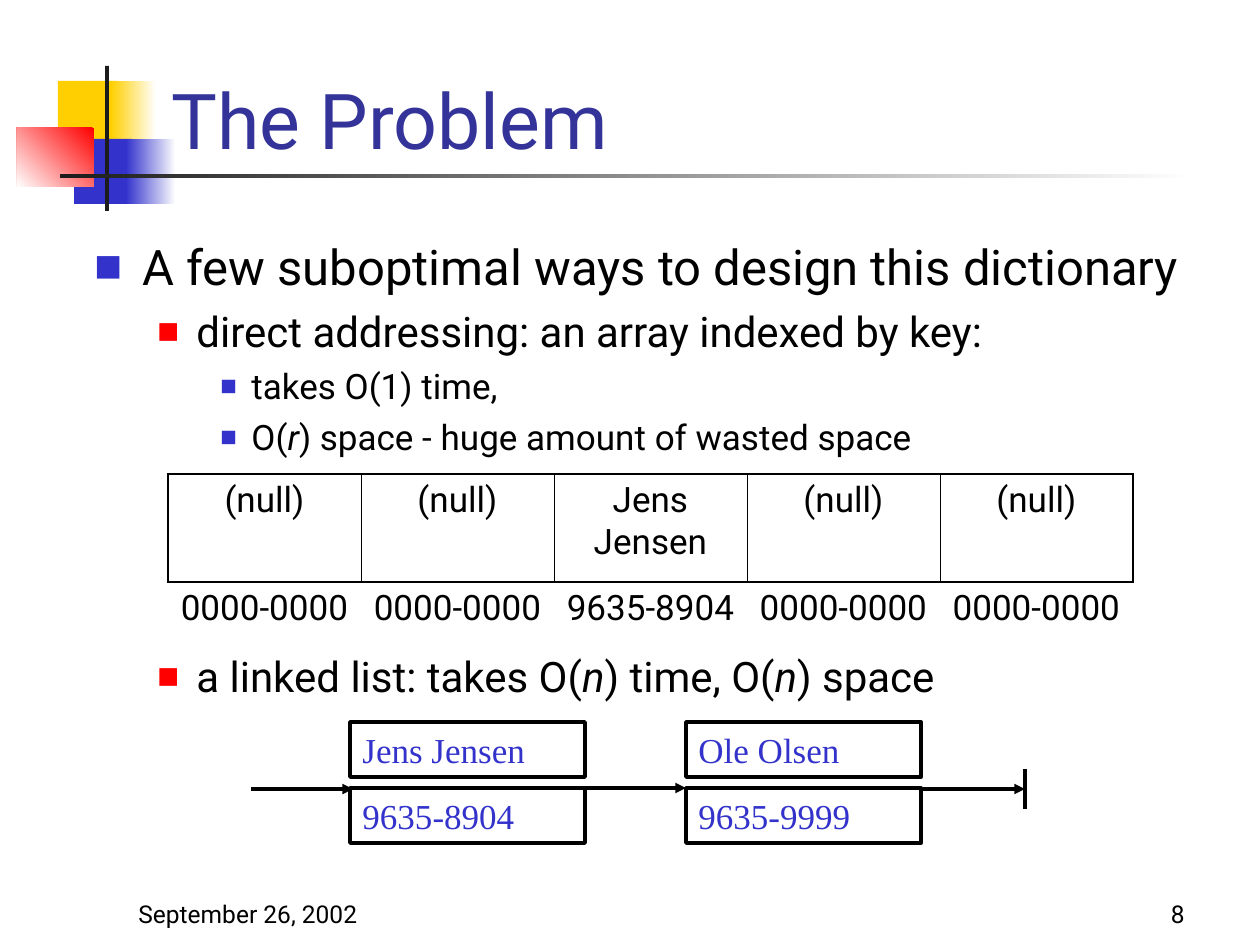
from lxml import etree
from pptx import Presentation, util as u
from pptx.dml.color import RGBColor
from pptx.enum import shapes, text
from pptx.oxml import ns

SCALE = 914400 / 126
BLACK = RGBColor(0, 0, 0)
WHITE = RGBColor(255, 255, 255)
CHARCOAL = RGBColor(0x1C, 0x1C, 0x1C)
YELLOW = RGBColor(0xFF, 0xCF, 0x01)
BLUE = RGBColor(0x33, 0x33, 0xCC)
RED = RGBColor(255, 0, 0)
NAVY = RGBColor(0x33, 0x33, 0x99)
SANS = "Roboto"
SERIF = "Times New Roman"
PLAIN_TABLE = "{2D5ABB26-0587-4C30-8999-92F81FD0307C}"

LEVELS = [
    dict(size=28, left=48, hang=48, before=0, color=BLUE, bullet=60),
    dict(size=24, left=102, hang=39, before=6, color=RED, bullet=55),
    dict(size=20, left=157, hang=31, before=5, color=BLUE, bullet=50),
]


def px(*lengths):
    return [u.Emu(round(length * SCALE)) for length in lengths]


def add_xml(parent, tag, **attributes):
    return etree.SubElement(parent, ns.qn(tag), attributes)


def style_runs(para, size, color=BLACK, font=SANS):
    for span in para.runs:
        span.font.size = u.Pt(size)
        span.font.name = font
        span.font.color.rgb = color


def add_rect(parent, left, top, width, height):
    box = parent.add_shape(shapes.MSO_SHAPE.RECTANGLE, *px(left, top, width, height))
    box.shadow.inherit = False
    return box


def add_line(page, x1, y1, x2, y2, arrow=False):
    line = page.shapes.add_connector(shapes.MSO_CONNECTOR.STRAIGHT, *px(x1, y1, x2, y2))
    line.line.color.rgb = BLACK
    line.line.width = u.Pt(2)
    if arrow:
        add_xml(line.line._get_or_add_ln(), "a:tailEnd", type="triangle")
    add_xml(line._element.spPr, "a:effectLst")


def add_ornament(page, left, top):
    parts = [
        (41, 15, 60, 65, YELLOW, None, 0),
        (94, 15, 45, 65, WHITE, YELLOW, 180),
        (57, 73, 58, 65, BLUE, None, 0),
        (109, 73, 50, 65, WHITE, BLUE, 180),
        (0, 62, 77, 59, RED, WHITE, 225),
        (88, 0, 4, 145, CHARCOAL, None, 0),
        (43, 108, 1134, 4, WHITE, CHARCOAL, 180),
    ]
    for x, y, width, height, start, end, angle in parts:
        block = add_rect(page.shapes, left + x, top + y, width, height)
        block.line.fill.background()
        if end is None:
            block.fill.solid()
            block.fill.fore_color.rgb = start
        else:
            block.fill.gradient()
            block.fill.gradient_angle = angle
            for stop, color in zip(block.fill.gradient_stops, (start, end)):
                stop.color.rgb = color


def add_title(page, left, top, width, height, wording):
    title = page.shapes.title
    title.left, title.top, title.width, title.height = px(left, top, width, height)
    frame = title.text_frame
    frame.text = wording
    frame.auto_size = text.MSO_AUTO_SIZE.NONE
    frame.vertical_anchor = text.MSO_ANCHOR.BOTTOM
    para = frame.paragraphs[0]
    para.alignment = text.PP_ALIGN.LEFT
    style_runs(para, 44, NAVY)


def add_bullets(page, left, top, width, height, items):
    frame = page.shapes.add_textbox(*px(left, top, width, height)).text_frame
    frame.word_wrap = True
    for index, (depth, before, pieces) in enumerate(items):
        level = LEVELS[depth]
        para = frame.add_paragraph() if index else frame.paragraphs[0]
        para.level = depth
        para.space_before = u.Pt(level["before"] if before is None else before)
        margin, hang = px(level["left"], level["hang"])
        properties = para._p.get_or_add_pPr()
        properties.set("marL", str(margin))
        properties.set("indent", str(-hang))
        add_xml(add_xml(properties, "a:buClr"), "a:srgbClr", val=str(level["color"]))
        add_xml(properties, "a:buSzPct", val=str(level["bullet"] * 1000))
        add_xml(properties, "a:buFont", typeface=SANS)
        add_xml(properties, "a:buChar", char="■")
        for position, piece in enumerate(pieces):
            span = para.add_run()
            span.text = piece
            span.font.italic = position % 2 == 1
        style_runs(para, level["size"])


def add_border(cell, side, points):
    edge = add_xml(cell._tc.get_or_add_tcPr(), f"a:ln{side}", w=str(u.Pt(points)))
    add_xml(add_xml(edge, "a:solidFill"), "a:srgbClr", val=str(BLACK))


def add_array(page, left, top, column_width, row_heights, rows):
    count = len(rows[0])
    frame = page.shapes.add_table(
        len(rows), count, *px(left, top, count * column_width, sum(row_heights)))
    table = frame.table
    table.first_row = table.horz_banding = False
    table._tbl.tblPr.find(ns.qn("a:tableStyleId")).text = PLAIN_TABLE
    for column in table.columns:
        column.width = px(column_width)[0]
    for r, (height, values) in enumerate(zip(row_heights, rows)):
        table.rows[r].height = px(height)[0]
        for c, value in enumerate(values):
            cell = table.cell(r, c)
            cell.text = value
            para = cell.text_frame.paragraphs[0]
            para.alignment = text.PP_ALIGN.CENTER
            style_runs(para, 20)
            if r == 0:
                add_border(cell, "L", 0.45 if c else 1.08)
                add_border(cell, "R", 0.45 if c < count - 1 else 1.08)
                add_border(cell, "T", 1.08)
                add_border(cell, "B", 1.08)
            cell.fill.background()


def add_record(page, left, top, width, height, step, values):
    record = page.shapes.add_group_shape()
    for index, value in enumerate(values):
        box = add_rect(record.shapes, left, top + index * step, width, height)
        box.fill.background()
        box.line.color.rgb = BLACK
        box.line.width = u.Pt(2)
        frame = box.text_frame
        frame.text = value
        frame.vertical_anchor = text.MSO_ANCHOR.TOP
        para = frame.paragraphs[0]
        para.alignment = text.PP_ALIGN.LEFT
        style_runs(para, 20, BLUE, SERIF)


def add_linked_list(page, left, top, records):
    for index, values in enumerate(records):
        add_record(page, left + 99 + index * 336, top, 235, 55, 66, values)
    for x, y in ((0, 67), (333, 66), (672, 67)):
        add_line(page, left + x, top + y, left + x + 102, top + y, arrow=True)
    add_line(page, left + 774, top + 47, left + 774, top + 87)


def add_footer(page, left, top, width, height, wording, alignment):
    frame = page.shapes.add_textbox(*px(left, top, width, height)).text_frame
    frame.word_wrap = True
    frame.text = wording
    frame.vertical_anchor = text.MSO_ANCHOR.BOTTOM
    para = frame.paragraphs[0]
    para.alignment = alignment
    style_runs(para, 14)


def main():
    deck = Presentation()
    deck.slide_width, deck.slide_height = px(1260, 945)
    page = deck.slides.add_slide(deck.slide_layouts[5])
    add_ornament(page, 17, 66)
    add_title(page, 159, 14, 1074, 157, "The Problem")
    add_bullets(page, 82, 230, 1151, 614, [
        (0, None, ["A few suboptimal ways to design this dictionary"]),
        (1, None, ["direct addressing: an array indexed by key:"]),
        (2, None, ["takes O(1) time,"]),
        (2, None, ["O(", "r", ") space - huge amount of wasted space"]),
        (1, 110, ["a linked list: takes O(", "n", ") time, O(", "n", ") space"]),
    ])
    empty, unused = "(null)", "0000-0000"
    add_array(page, 168, 474, 193, (108, 54), [
        [empty, empty, "Jens Jensen", empty, empty],
        [unused, unused, "9635-8904", unused, unused],
    ])
    add_linked_list(page, 251, 722, [
        ("Jens Jensen", "9635-8904"),
        ("Ole Olsen", "9635-9999"),
    ])
    add_footer(page, 935, 872, 262, 63, "8", text.PP_ALIGN.RIGHT)
    add_footer(page, 126, 872, 262, 63, "September 26, 2002", text.PP_ALIGN.LEFT)
    deck.save("out.pptx")


if __name__ == "__main__":
    main()
